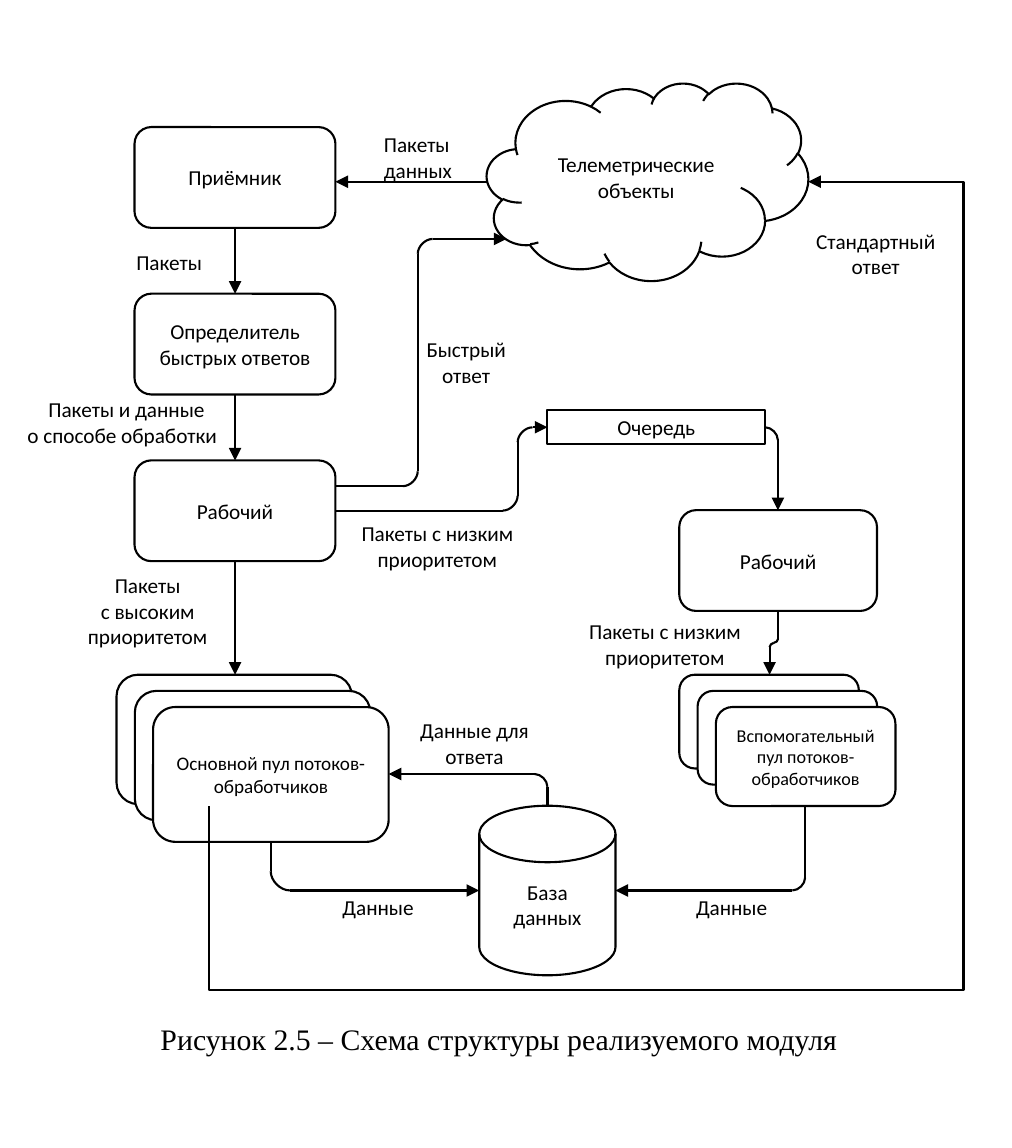
from lxml import etree
from pptx import Presentation
from pptx.dml.color import RGBColor
from pptx.enum.shapes import MSO_CONNECTOR, MSO_SHAPE
from pptx.enum.text import MSO_ANCHOR, MSO_AUTO_SIZE, PP_ALIGN
from pptx.oxml.ns import qn
from pptx.util import Pt

ROUNDED = MSO_SHAPE.ROUNDED_RECTANGLE
RECTANGLE = MSO_SHAPE.RECTANGLE
CLOUD = MSO_SHAPE.CLOUD
DISK = MSO_SHAPE.FLOWCHART_MAGNETIC_DISK
STRAIGHT = MSO_CONNECTOR.STRAIGHT
ELBOW = MSO_CONNECTOR.ELBOW
CURVE = MSO_CONNECTOR.CURVE
MIDDLE = MSO_ANCHOR.MIDDLE
FIT_TEXT = MSO_AUTO_SIZE.SHAPE_TO_FIT_TEXT
LEFT, CENTER = PP_ALIGN.LEFT, PP_ALIGN.CENTER

COLORS = {"paper": "FFFFFF", "ink": "000000"}
INK = RGBColor.from_string(COLORS["ink"])
PAPER = RGBColor.from_string(COLORS["paper"])


def write(frame, lines, aligns, size, font="Calibri"):
    frame.word_wrap = True
    for index, (line, align) in enumerate(zip(lines, aligns)):
        paragraph = frame.paragraphs[0] if index == 0 else frame.add_paragraph()
        paragraph.text = line
        paragraph.alignment = align
        paragraph.font.size = Pt(size)
        paragraph.font.name = font
        paragraph.font.color.rgb = INK


def add_node(slide, kind, left, top, width, height, lines=(), size=10):
    node = slide.shapes.add_shape(kind, Pt(left), Pt(top), Pt(width), Pt(height))
    node.shadow.inherit = False
    node.fill.solid()
    node.fill.fore_color.rgb = PAPER
    node.line.color.rgb = INK
    node.line.width = Pt(1)
    node.text_frame.vertical_anchor = MIDDLE
    write(node.text_frame, lines, [CENTER] * len(lines), size)


def add_pool(slide, left, top, width, height, lines, size):
    for layer in range(2):
        add_node(slide, ROUNDED, left + 8.6 * layer, top + 7.6 * layer, width, height - 2.5)
    add_node(slide, ROUNDED, left + 17.2, top + 15.2, width, height, lines, size)


def add_label(slide, left, top, width, height, lines, aligns=None, size=10, font="Calibri"):
    label = slide.shapes.add_textbox(Pt(left), Pt(top), Pt(width), Pt(height))
    write(label.text_frame, lines, aligns or [CENTER] * len(lines), size, font)
    label.text_frame.auto_size = FIT_TEXT


def add_link(slide, kind, begin, end, arrow=None, preset=None, adjustments=()):
    link = slide.shapes.add_connector(kind, *(Pt(value) for value in (*begin, *end)))
    link.line.color.rgb = INK
    link.line.width = Pt(1)
    properties = link._element.spPr
    if arrow:
        etree.SubElement(link.line._get_or_add_ln(), qn(f"a:{arrow}"), type="triangle")
    etree.SubElement(properties, qn("a:effectLst"))
    if preset:
        geometry = properties.find(qn("a:prstGeom"))
        geometry.set("prst", preset)
        guides = geometry.find(qn("a:avLst"))
        for number, value in enumerate(adjustments, 1):
            etree.SubElement(guides, qn("a:gd"), name=f"adj{number}",
                             fmla=f"val {round(value * 100000)}")


def toward(start, goal, distance):
    length = abs(goal[0] - start[0]) + abs(goal[1] - start[1])
    return tuple(a + (b - a) * distance / length for a, b in zip(start, goal))


def add_route(slide, points, radius=0):
    position = points[0]
    for before, corner, after in zip(points, points[1:], points[2:]):
        entry = toward(corner, before, radius)
        leave = toward(corner, after, radius)
        if max(abs(a - b) for a, b in zip(position, entry)) > 0.5:
            add_link(slide, STRAIGHT, position, entry)
        horizontal_first = before[1] == corner[1]
        ends = (entry, leave) if horizontal_first else (leave, entry)
        add_link(slide, CURVE, *ends, preset="curvedConnector2")
        position = leave
    add_link(slide, STRAIGHT, position, points[-1], arrow="tailEnd")


def add_return_path(slide, begin, end, right, bottom):
    add_link(slide, ELBOW, begin, end, arrow="headEnd", preset="bentConnector4",
             adjustments=((right - begin[0]) / (end[0] - begin[0]),
                          (bottom - begin[1]) / (end[1] - begin[1])))


def main():
    presentation = Presentation()
    presentation.slide_width = Pt(476)
    presentation.slide_height = Pt(540)
    slide = presentation.slides.add_slide(presentation.slide_layouts[6])

    stages = ("Приёмник", "Определитель быстрых ответов", "Рабочий")
    for row, stage in enumerate(stages):
        add_node(slide, ROUNDED, 63.3, 59.8 + 78.4 * row, 94.5, 47.4, [stage])
    add_pool(slide, 54.8, 317.4, 110.8, 63.4, ["Основной пул потоков-", "обработчиков"], 9)
    add_node(slide, CLOUD, 229, 39, 151.2, 92.9, ["Телеметрические объекты"])
    add_node(slide, RECTANGLE, 257.5, 192.8, 102.4, 16.2, ["Очередь"])
    add_node(slide, ROUNDED, 319.5, 240, 93, 47.4, ["Рабочий"])
    add_pool(slide, 319.5, 317.4, 84.5, 46.6,
             ["Вспомогательный пул потоков-", "обработчиков"], 8.5)
    add_node(slide, DISK, 225.4, 379, 64.1, 79.8, ["База данных"])

    routes = (
        (0, [(110.6, 107.2), (110.6, 138.2)]),
        (0, [(110.6, 185.6), (110.6, 216.6)]),
        (0, [(110.6, 264), (110.6, 317.4)]),
        (0, [(229.5, 85.5), (157.8, 85.5)]),
        (7, [(157.8, 228.7), (196.5, 228.7), (196.5, 112.4), (238.3, 112.4)]),
        (7, [(157.8, 240.2), (243.5, 240.2), (243.5, 201), (257.5, 201)]),
        (6, [(359.9, 201), (365.9, 201), (365.9, 240)]),
        (2, [(366, 287.4), (366, 302.4), (362, 302.4), (362, 317.4)]),
        (6, [(378.7, 379), (378.7, 418.9), (289.5, 418.9)]),
        (6, [(257.5, 379), (257.5, 364.1), (182.8, 364.1)]),
        (9, [(127.4, 396), (127.4, 418.9), (225.4, 418.9)]),
    )
    for radius, points in routes:
        add_route(slide, points, radius)
    add_return_path(slide, (380.2, 85.5), (98.3, 379), 453.3, 465.6)

    low_priority = ["Пакеты с низким", "приоритетом"]
    add_label(slide, 173.5, 58.3, 52, 31.7, ["Пакеты", "данных"], [LEFT, LEFT])
    add_label(slide, 57, 113.8, 46, 19.4, ["Пакеты"], [LEFT])
    add_label(slide, 5.8, 182.9, 107.3, 31.7,
              ["Пакеты и данные", "о способе обработки"], [CENTER, LEFT])
    add_label(slide, 15.8, 265.7, 107.3, 44, ["Пакеты", "с высоким приоритетом"])
    add_label(slide, 133, 241.2, 145.4, 31.7, low_priority)
    add_label(slide, 165.6, 154.8, 107.3, 31.7, ["Быстрый", "ответ"])
    add_label(slide, 358.2, 103.7, 107.3, 31.7, ["Стандартный", "ответ"])
    add_label(slide, 240, 287.3, 145.4, 31.7, low_priority)
    add_label(slide, 150.5, 334, 145.4, 31.7, ["Данные для", "ответа"])
    for left in (105.1, 271.4):
        add_label(slide, left, 416.9, 145.4, 19.4, ["Данные"])
    add_label(slide, 68.4, 476.6, 337, 24.5,
              ["Рисунок 2.5 – Схема структуры реализуемого модуля"],
              [LEFT], 14, "Times New Roman")

    presentation.save("out.pptx")


if __name__ == "__main__":
    main()
